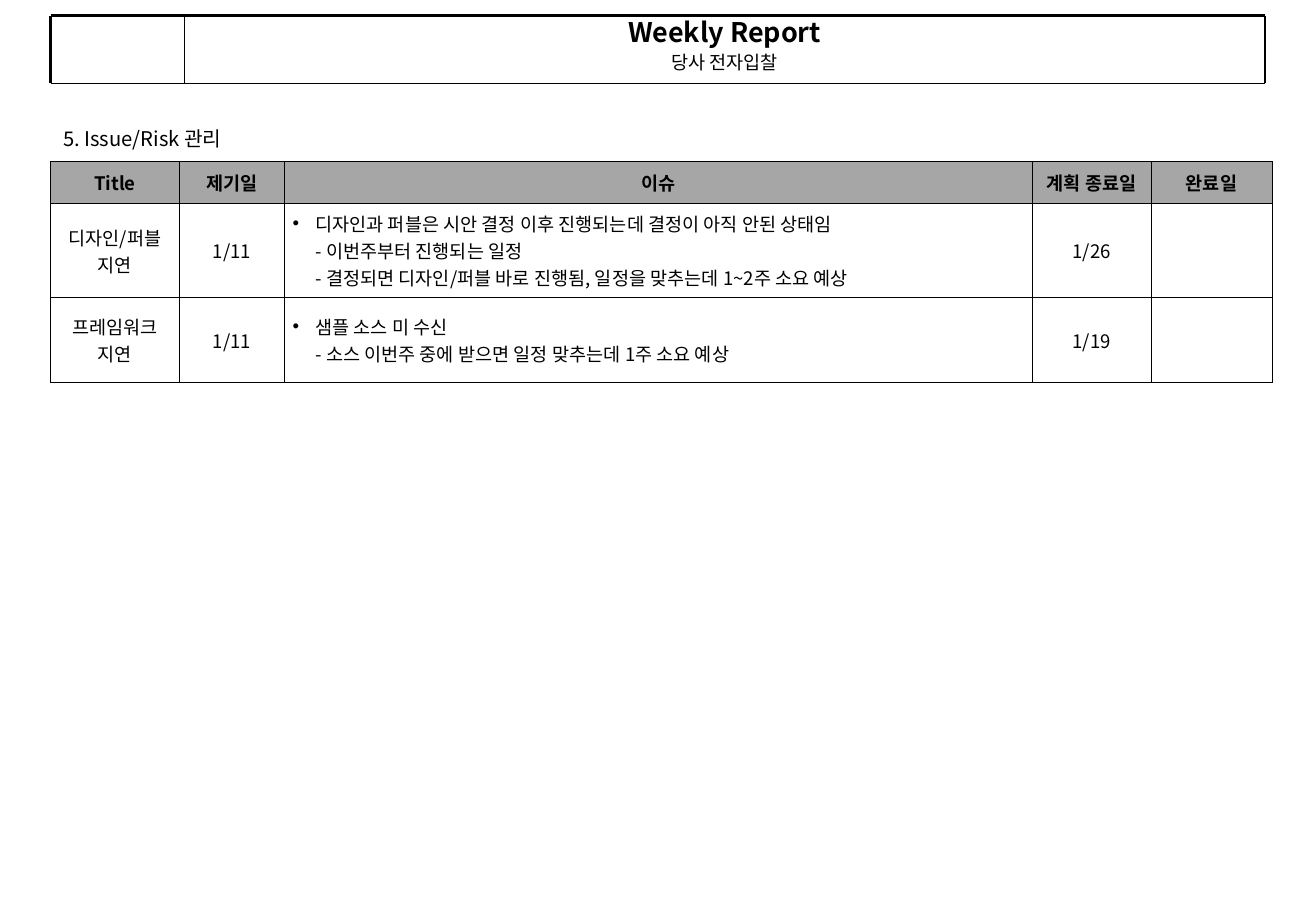
from lxml.etree import SubElement
from pptx import Presentation
from pptx.dml.color import RGBColor
from pptx.enum.shapes import MSO_CONNECTOR
from pptx.enum.text import MSO_ANCHOR, MSO_AUTO_SIZE, PP_ALIGN
from pptx.oxml.ns import qn
from pptx.util import Pt

FONT = "Noto Sans CJK KR"
COLORS = {"ink": "000000", "head": "A6A6A6"}


def style(para, size, bold=False, align=PP_ALIGN.LEFT):
    para.alignment = align
    font = para.font
    font.size, font.bold, font.name = Pt(size), bold, FONT
    font.color.rgb = RGBColor.from_string(COLORS["ink"])
    props = para._p.pPr.find(qn("a:defRPr"))
    props.set("kern", "0")
    SubElement(props, qn("a:ea"), typeface=FONT)


def border(cell, width):
    """Draw a thin line on all four sides of a table cell."""
    props = cell._tc.get_or_add_tcPr()
    for side in ("lnL", "lnR", "lnT", "lnB"):
        line = SubElement(props, qn(f"a:{side}"), w=str(Pt(width)))
        fill = SubElement(line, qn("a:solidFill"))
        SubElement(fill, qn("a:srgbClr"), val=COLORS["ink"])


deck = Presentation()
deck.slide_width, deck.slide_height = Pt(780.48), Pt(540)
slide = deck.slides.add_slide(deck.slide_layouts[5])
shapes = slide.shapes

# Header band
left, split, right = 30, 109.4, 750.2
top, bottom = 9.3, 49.5
title = shapes.title
title.left, title.top = Pt(split), Pt(top)
title.width, title.height = Pt(right - split), Pt(bottom - top)
frame = title.text_frame
frame.text = "Weekly Report\n당사 전자입찰"
frame.word_wrap = True
frame.auto_size = MSO_AUTO_SIZE.NONE
frame.vertical_anchor = MSO_ANCHOR.TOP
frame.margin_top, frame.margin_bottom = Pt(3.8), 0
name, project = frame.paragraphs
style(name, 16, True, PP_ALIGN.CENTER)
style(project, 11, False, PP_ALIGN.CENTER)
name.line_spacing, project.line_spacing = 0.8, 1.0
name.space_before, project.space_before = Pt(0), Pt(2)

rules = [
    (split, top, split, bottom, 0.25),
    (left, top, left, bottom, 1.5),
    (right, top, right, bottom, 1.5),
    (left, top, right, top, 1.5),
    (left, bottom, right, bottom, 0.25),
]
for x1, y1, x2, y2, width in rules:
    rule = shapes.add_connector(MSO_CONNECTOR.STRAIGHT, Pt(x1), Pt(y1), Pt(x2), Pt(y2))
    rule.line.width = Pt(width)
    rule.line.color.rgb = RGBColor.from_string(COLORS["ink"])
    SubElement(rule._element.spPr, qn("a:effectLst"))

# Section heading
box = shapes.add_textbox(Pt(left + 0.4), Pt(71.6), Pt(115.2), Pt(24.6))
box.text_frame.word_wrap = True
box.text_frame.text = "5. Issue/Risk 관리"
style(box.text_frame.paragraphs[0], 12)

# Issue table: \v breaks a line inside one paragraph
rows = [
    ["Title", "제기일", "이슈", "계획 종료일", "완료일"],
    [
        "디자인/퍼블\n지연",
        "1/11",
        "디자인과 퍼블은 시안 결정 이후 진행되는데 결정이 아직 안된 상태임"
        "\v- 이번주부터 진행되는 일정"
        "\v- 결정되면 디자인/퍼블 바로 진행됨, 일정을 맞추는데 1~2주 소요 예상",
        "1/26",
        "",
    ],
    [
        "프레임워크\v지연",
        "1/11",
        "샘플 소스 미 수신\v- 소스 이번주 중에 받으면 일정 맞추는데 1주 소요 예상",
        "1/19",
        "",
    ],
]
widths = [76.4, 62.2, 443.6, 70.6, 71.6]
heights = [24.8, 55.8, 50.4]
holder = shapes.add_table(
    len(rows), len(widths), Pt(left), Pt(95.8), Pt(sum(widths)), Pt(sum(heights))
)
table = holder.table
table.first_row = table.horz_banding = False
for col, width in zip(table.columns, widths):
    col.width = Pt(width)
for r, (texts, height) in enumerate(zip(rows, heights)):
    table.rows[r].height = Pt(height)
    for c, text in enumerate(texts):
        cell = table.cell(r, c)
        border(cell, 0.45)
        if r == 0:
            cell.fill.solid()
            cell.fill.fore_color.rgb = RGBColor.from_string(COLORS["head"])
        else:
            cell.fill.background()
        cell.vertical_anchor = MSO_ANCHOR.MIDDLE
        cell.margin_left = cell.margin_right = Pt(5)
        cell.margin_top = cell.margin_bottom = Pt(3.6)
        cell.text_frame.text = text
        issue = r > 0 and c == 2
        for para in cell.text_frame.paragraphs:
            if issue:
                props = para._p.get_or_add_pPr()
                props.set("marL", str(Pt(13.5)))
                props.set("indent", str(-Pt(13.5)))
                SubElement(props, qn("a:buFont"), typeface="Arial")
                SubElement(props, qn("a:buChar"), char="•")
            style(para, 11, r == 0, PP_ALIGN.LEFT if issue else PP_ALIGN.CENTER)

deck.save("out.pptx")
